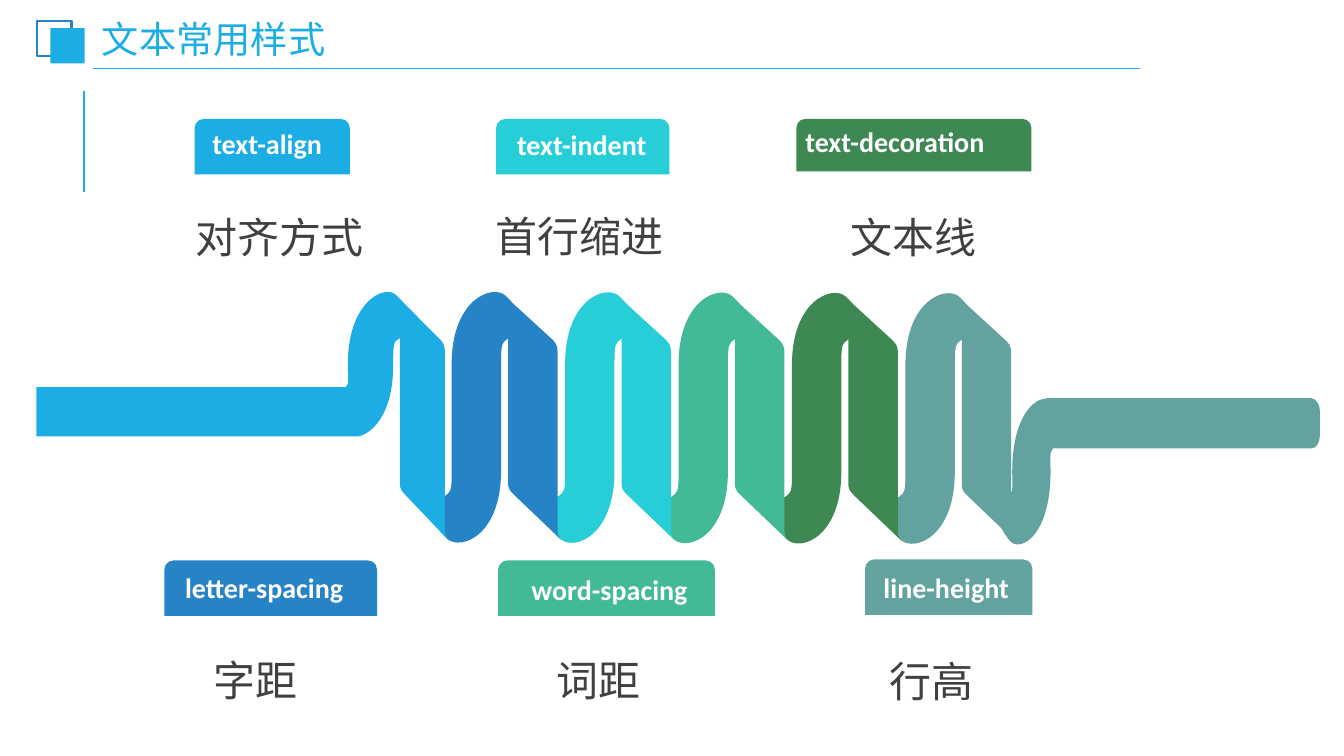
from lxml import etree
from pptx import Presentation
from pptx.dml.color import RGBColor
from pptx.enum import shapes, text
from pptx.oxml import ns
from pptx.util import Inches, Pt

# Content
TITLE = "文本常用样式"
FONT = "Calibri"
SKY, BLUE, CYAN = "1CADE4", "2683C6", "27CED7"
MINT, GREEN, SAGE = "42BA97", "3E8853", "62A39F"
WHITE, GREY = "FFFFFF", "404040"

# property, colour, tab box, text box, alignment, caption, caption position
LEFT, CENTER = text.PP_ALIGN.LEFT, text.PP_ALIGN.CENTER
PROPERTIES = [
    ("text-align", SKY, (1.93, 1.18, 1.54, 0.55), (1.71, 1.21, 1.88, 0.44),
     CENTER, "对齐方式", (1.46, 1.9)),
    ("letter-spacing", BLUE, (1.63, 5.56, 2.11, 0.55), (1.31, 5.61, 2.62, 0.44),
     CENTER, "字距", (1.22, 6.29)),
    ("text-indent", CYAN, (4.92, 1.18, 1.72, 0.55), (4.91, 1.22, 1.72, 0.44),
     CENTER, "首行缩进", (4.44, 1.89)),
    ("word-spacing", MINT, (4.94, 5.56, 2.15, 0.55), (4.97, 5.63, 2.15, 0.44),
     CENTER, "词距", (4.63, 6.29)),
    ("text-decoration", GREEN, (7.9, 1.18, 2.33, 0.52), (7.89, 1.19, 2.47, 0.44),
     LEFT, "文本线", (7.75, 1.9)),
    ("line-height", SAGE, (8.58, 5.55, 1.66, 0.55), (8.46, 5.61, 1.85, 0.44),
     CENTER, "行高", (7.93, 6.3)),
]
CAPTION_SIZE = (2.62, 0.71)

# Ribbon outlines: two numbers are a straight step, six a Bezier curve
LOOP = [
    (4.97, 4.67), (4.97, 3.62),
    (4.97, 3.5, 4.97, 3.42, 5, 3.39),
    (5.09, 3.3, 5.18, 3.35, 5.2, 3.28),
    (5.23, 3.19, 5.09, 3, 5.01, 2.93),
    (4.88, 2.82, 4.48, 2.97, 4.48, 3.61),
    (4.48, 4.67),
    (4.48, 4.79, 4.48, 4.86, 4.45, 4.89),
    (4.36, 4.98, 4.27, 4.94, 4.25, 5),
    (4.22, 5.09, 4.36, 5.28, 4.44, 5.35),
    (4.58, 5.46, 4.97, 5.31, 4.97, 4.67),
]
BAND = [
    (5.53, 5.27), (5.53, 3.49),
    (5.53, 3.47, 5.53, 3.42, 5.49, 3.38),
    (5.48, 3.37), (5, 2.93),
    (5.01, 2.93, 5.04, 2.97, 5.04, 3.02),
    (5.04, 4.8),
    (5.04, 4.81, 5.04, 4.86, 5.09, 4.9),
    (5.1, 4.91), (5.57, 5.36),
    (5.56, 5.35, 5.53, 5.32, 5.53, 5.27),
]
HEAD = [
    (3.81, 2.9),
    (3.86, 2.89, 3.9, 2.9, 3.93, 2.93),
    (4.01, 3, 4.14, 3.19, 4.11, 3.28),
    (4.1, 3.35, 4.01, 3.3, 3.92, 3.39),
    (3.9, 3.42, 3.9, 3.5, 3.9, 3.62),
    (3.9, 4.1, 3.7, 4.3, 3.55, 4.33),
    (0.36, 4.33), (0.36, 3.84), (3.43, 3.84), (3.45, 3.81),
    (3.46, 3.77, 3.45, 3.7, 3.45, 3.62),
    (3.45, 3.14, 3.66, 2.93, 3.81, 2.9),
]
TAIL = [
    (10.39, 3.95), (13, 3.95),
    (13.05, 3.95, 13.09, 4.01, 13.09, 4.07),
    (13.09, 4.33),
    (13.09, 4.4, 13.05, 4.45, 13, 4.45),
    (10.44, 4.45), (10.44, 4.46),
    (10.41, 4.48, 10.42, 4.56, 10.42, 4.68),
    (10.42, 5.32, 10.12, 5.48, 10.02, 5.37),
    (9.95, 5.29, 9.85, 5.11, 9.87, 5.01),
    (9.88, 4.95, 9.95, 4.99, 10.02, 4.9),
    (10.05, 4.88, 10.04, 4.8, 10.04, 4.68),
    (10.04, 4.2, 10.21, 3.99, 10.34, 3.96),
    (10.36, 3.96, 10.38, 3.95, 10.39, 3.95),
]
COIL_COLORS = [BLUE, CYAN, MINT, GREEN, SAGE]
COIL_STEP = 1.125

prs = Presentation()
prs.slide_width, prs.slide_height = Inches(13.33), Inches(7.5)
slide = prs.slides.add_slide(prs.slide_layouts[6])


def rgb(color):
    return RGBColor.from_string(color)


def paint(shape, fill=None, line=None, width=1.5):
    shape.shadow.inherit = False
    if fill:
        shape.fill.solid()
        shape.fill.fore_color.rgb = rgb(fill)
    else:
        shape.fill.background()
    if line:
        shape.line.color.rgb = rgb(line)
        shape.line.width = Pt(width)
    else:
        shape.line.fill.background()


def add_box(kind, box, **style):
    paint(slide.shapes.add_shape(kind, *map(Inches, box)), **style)


def add_rule(start, end, width):
    rule = slide.shapes.add_connector(
        shapes.MSO_CONNECTOR.STRAIGHT, *map(Inches, start + end))
    rule.line.color.rgb = rgb(SKY)
    rule.line.width = Pt(width)
    etree.SubElement(rule._element.spPr, ns.qn("a:effectLst"))


def add_text(words, box, size, color, align=LEFT, bold=False, spacing=1.0):
    frame = slide.shapes.add_textbox(*map(Inches, box)).text_frame
    frame.word_wrap = True
    frame.text = words
    paragraph = frame.paragraphs[0]
    paragraph.alignment = align
    paragraph.line_spacing = spacing
    font = paragraph.runs[0].font
    font.name, font.size, font.bold = FONT, Pt(size), bold
    font.color.rgb = rgb(color)
    return frame


def add_ribbon(outline, color, dx=0.0, dy=0.0, stretch=1.0):
    """Stretch works sideways from the left edge of a band."""
    edge = BAND[4][0]
    points = [(Inches(edge + (x - edge) * stretch + dx), Inches(y + dy))
              for step in outline for x, y in zip(step[::2], step[1::2])]
    builder = slide.shapes.build_freeform(*points[0])
    builder.add_line_segments(points[1:], close=True)
    ribbon = builder.convert_to_shape()
    paint(ribbon, fill=color)

    # Join each three points of a curved step into one Bezier segment
    segments = iter(list(ribbon._element.iter(ns.qn("a:lnTo"))))
    for step in outline[1:]:
        first = next(segments)
        if len(step) == 6:
            first.tag = ns.qn("a:cubicBezTo")
            for _ in range(2):
                extra = next(segments)
                first.append(extra[0])
                extra.getparent().remove(extra)


# Title and its decoration
add_rule((0.83, 1.9), (0.83, 0.9), 1.5)
add_rule((0.92, 0.68), (11.31, 0.68), 1.25)
add_box(shapes.MSO_SHAPE.RECTANGLE, (0.37, 0.21, 0.34, 0.35), line=BLUE)
add_box(shapes.MSO_SHAPE.RECTANGLE, (0.5, 0.28, 0.34, 0.35), fill=SKY)
title = add_text(TITLE, (0.94, 0.23, 3.93, 0.37), 26.6, SKY, spacing=0.9)
title.vertical_anchor = text.MSO_ANCHOR.MIDDLE
title.margin_left = title.margin_right = Inches(0.07)
title.margin_top = title.margin_bottom = Inches(0.04)

# Coiled ribbon, from the right end to the left
add_ribbon(TAIL, SAGE)
for turn, color in reversed(list(enumerate(COIL_COLORS))):
    for outline in (LOOP, BAND):
        add_ribbon(outline, color, turn * COIL_STEP, turn * 0.003)
add_ribbon(HEAD, SKY)
add_ribbon(BAND, SKY, dx=-1.07, stretch=0.91)

# Property tabs and captions
for name, color, tab, label, align, caption, place in PROPERTIES:
    add_box(shapes.MSO_SHAPE.ROUND_2_SAME_RECTANGLE, tab, fill=color)
    add_text(name, label, 20, WHITE, align, bold=True)
    add_text(caption, place + CAPTION_SIZE, 30, GREY, CENTER, spacing=1.3)

prs.save("out.pptx")
